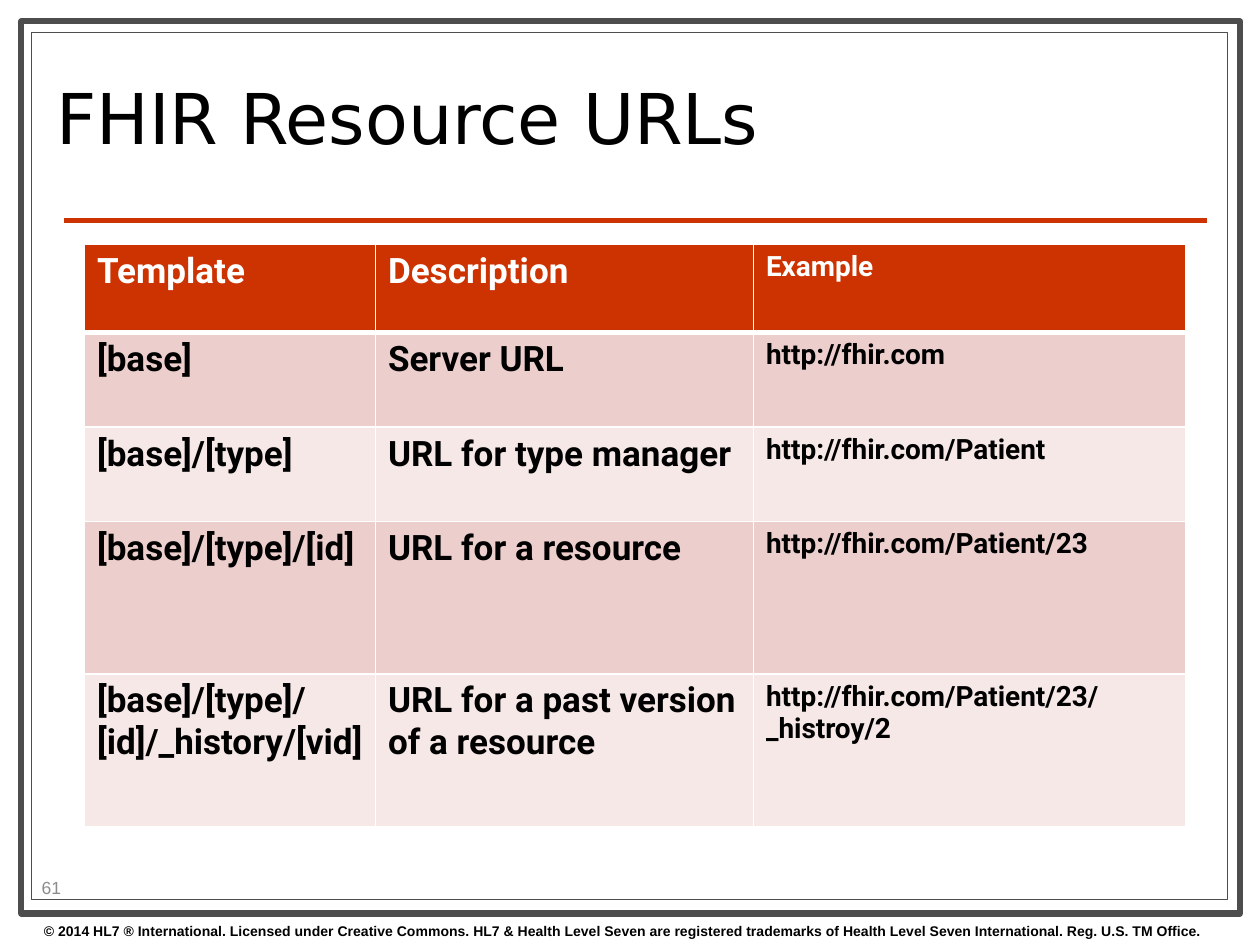
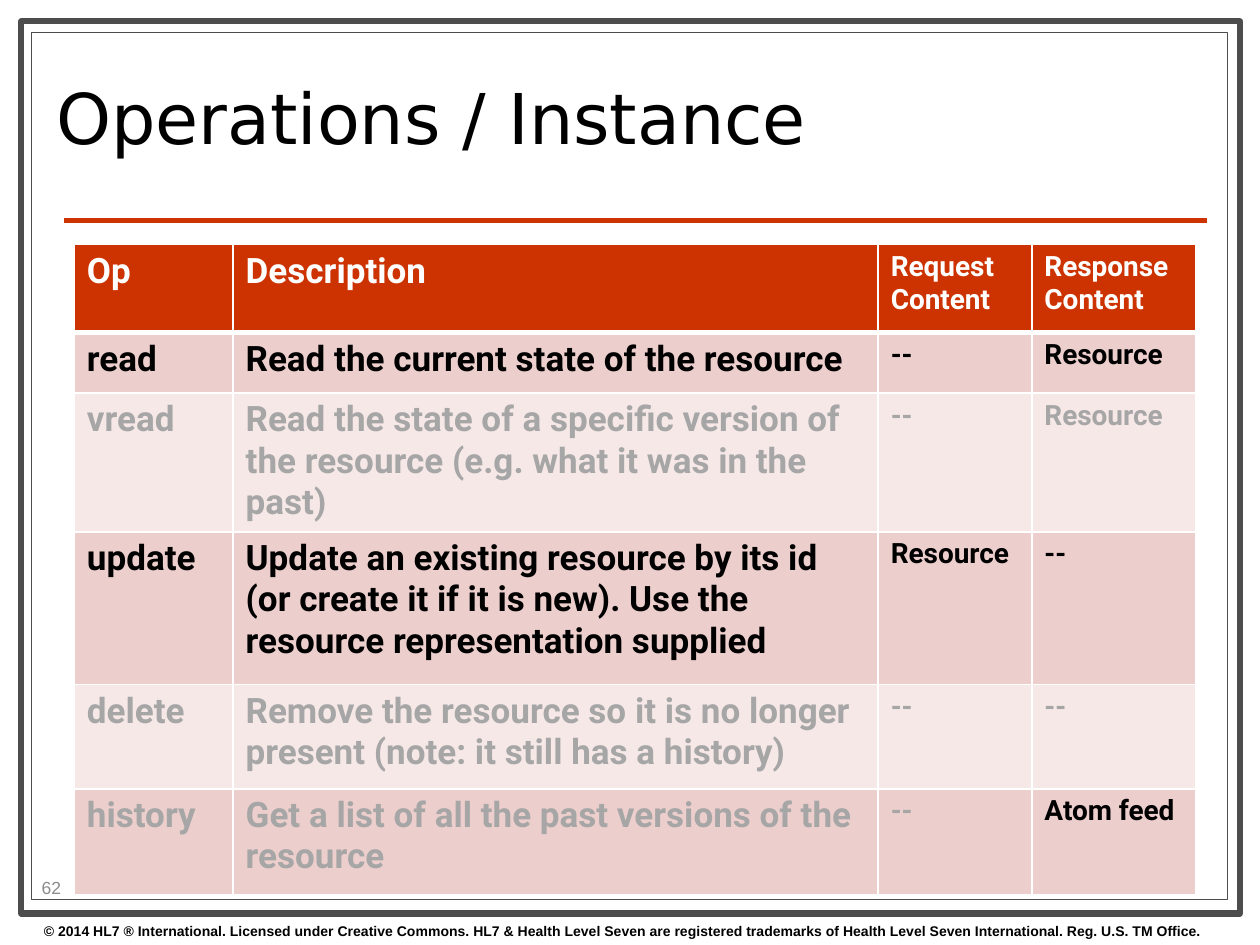
"""Build two slides on FHIR resource URLs and instance operations."""
from lxml.etree import SubElement
from pptx import Presentation
from pptx.dml.color import RGBColor
from pptx.enum.shapes import MSO_CONNECTOR, MSO_SHAPE
from pptx.enum.text import MSO_ANCHOR, PP_ALIGN
from pptx.oxml.ns import qn
from pptx.util import Inches, Pt

COLORS = {
    "white": "FFFFFF", "frame": "4D4D4D", "accent": "CC3300", "text": "000000",
    "muted": "A6A6A6", "number": "8C8C8C", "odd": "ECCECC", "even": "F6E8E7",
}
FOOTER = (
    "© 2014 HL7 ® International. Licensed under Creative Commons. "
    "HL7 & Health Level Seven are registered trademarks of "
    "Health Level Seven International. Reg. U.S. TM Office."
)
FRAMES = [((0.17, 0.17, 9.67, 7.08), 3.5), ((0.25, 0.26, 9.49, 6.88), 0.75)]
TABLE_TOP = 1.94
FIRST_NUMBER = 61

SLIDES = [
    {
        "title": "FHIR Resource URLs",
        "left": 0.67,
        "columns": [2.31, 3, 3.43],
        "heights": [0.7, 0.75, 0.75, 1.21, 1.21],
        "muted_cells_by_row": {},
        "rows": [
            ("Template", "Description", "Example"),
            ("[base]", "Server URL", "http://fhir.com"),
            ("[base]/[type]", "URL for type manager", "http://fhir.com/Patient"),
            ("[base]/[type]/[id]", "URL for a resource", "http://fhir.com/Patient/23"),
            ("[base]/[type]/[id]/_history/[vid]", "URL for a past version of a resource",
             "http://fhir.com/Patient/23/_histroy/2"),
        ],
    },
    {
        "title": "Operations / Instance",
        "left": 0.59,
        "columns": [1.26, 5.12, 1.22, 1.3],
        "heights": [0.7, 0.48, 1.08, 1.21, 0.83, 0.84],
        "muted_cells_by_row": {2: 4, 4: 4, 5: 3},
        "rows": [
            ("Op", "Description", "Request Content", "Response Content"),
            ("read", "Read the current state of the resource", "--", "Resource"),
            ("vread", "Read the state of a specific version of the resource "
             "(e.g. what it was in the past)", "--", "Resource"),
            ("update", "Update an existing resource by its id (or create it if it is new). "
             "Use the resource representation supplied", "Resource", "--"),
            ("delete", "Remove the resource so it is no longer present "
             "(note: it still has a history)", "--", "--"),
            ("history", "Get a list of all the past versions of the resource",
             "--", "Atom feed"),
        ],
    },
]


def rgb(name):
    return RGBColor.from_string(COLORS[name])


def write_text(frame, text, size, font="Arial", color="text", bold=False, spacing=None):
    frame.word_wrap = True
    paragraph = frame.paragraphs[0]
    paragraph.alignment = PP_ALIGN.LEFT
    paragraph.line_spacing = spacing
    run = paragraph.add_run()
    run.text = text
    run.font.size, run.font.name, run.font.bold = Pt(size), font, bold
    run.font.color.rgb = rgb(color)


def add_text_box(slide, box, text, size, anchor=MSO_ANCHOR.TOP, **style):
    frame = slide.shapes.add_textbox(*map(Inches, box)).text_frame
    frame.vertical_anchor = anchor
    write_text(frame, text, size, **style)


def add_background(slide):
    for box, width in FRAMES:
        shape = slide.shapes.add_shape(MSO_SHAPE.RECTANGLE, *map(Inches, box))
        shape.shadow.inherit = False
        shape.fill.solid()
        shape.fill.fore_color.rgb = rgb("white")
        shape.line.color.rgb = rgb("frame")
        shape.line.width = Pt(width)
    rule = slide.shapes.add_connector(
        MSO_CONNECTOR.STRAIGHT, *map(Inches, (0.51, 1.75, 9.58, 1.75)))
    rule.line.color.rgb = rgb("accent")
    rule.line.width = Pt(3)
    SubElement(rule._element.spPr, qn("a:effectLst"))
    add_text_box(slide, (0.25, 7.27, 10, 0.23), FOOTER, 8, bold=True)


def add_page_number(slide, number):
    shape = slide.shapes.add_shape(MSO_SHAPE.OVAL, *map(Inches, (0.16, 6.79, 0.5, 0.5)))
    shape.shadow.inherit = False
    shape.fill.background()
    shape.line.fill.background()
    shape.text_frame.vertical_anchor = MSO_ANCHOR.MIDDLE
    shape.text_frame.margin_right = 0
    write_text(shape.text_frame, str(number), 10, color="number")


def set_borders(cell, bottom_width):
    properties = cell._tc.get_or_add_tcPr()
    for side, width in (("L", 1), ("R", 1), ("T", 1), ("B", bottom_width)):
        line = SubElement(properties, qn(f"a:ln{side}"), w=str(Pt(width)))
        fill = SubElement(line, qn("a:solidFill"))
        SubElement(fill, qn("a:srgbClr"), val=COLORS["white"])


def add_content_table(slide, content):
    rows, columns, heights = content["rows"], content["columns"], content["heights"]
    box = (content["left"], TABLE_TOP, sum(columns), sum(heights))
    table = slide.shapes.add_table(len(rows), len(columns), *map(Inches, box)).table
    for column, width in zip(table.columns, columns):
        column.width = Inches(width)
    for row_index, texts in enumerate(rows):
        table.rows[row_index].height = Inches(heights[row_index])
        header = row_index == 0
        background = "accent" if header else "odd" if row_index % 2 else "even"
        muted_count = content["muted_cells_by_row"].get(row_index, 0)
        for column_index, text in enumerate(texts):
            cell = table.cell(row_index, column_index)
            set_borders(cell, 3 if header else 1)
            cell.fill.solid()
            cell.fill.fore_color.rgb = rgb(background)
            color = "white" if header else "muted" if column_index < muted_count else "text"
            write_text(cell.text_frame, text, 20 if column_index < 2 else 16,
                       font="Roboto", color=color, bold=True)


def main():
    presentation = Presentation()
    presentation.slide_width, presentation.slide_height = Inches(10), Inches(7.5)
    for number, content in enumerate(SLIDES, FIRST_NUMBER):
        slide = presentation.slides.add_slide(presentation.slide_layouts[6])
        add_background(slide)
        add_text_box(slide, (0.35, 0.36, 7.17, 1.26), content["title"], 40,
                     anchor=MSO_ANCHOR.MIDDLE, font="DejaVu Sans", spacing=0.8)
        add_content_table(slide, content)
        add_page_number(slide, number)
    presentation.save("out.pptx")


if __name__ == "__main__":
    main()
